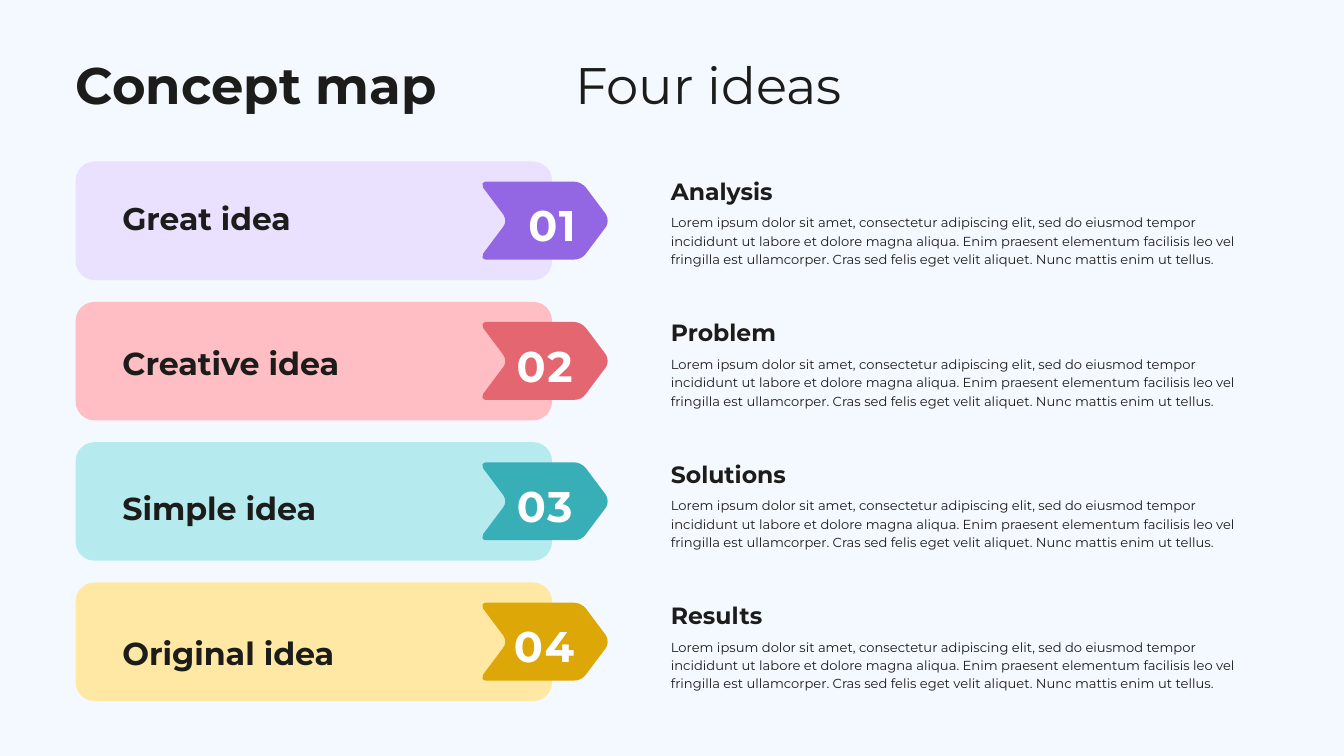
from pptx import Presentation, util as u
from pptx.dml.color import RGBColor
from pptx.enum import shapes, text
from pptx.oxml import ns
from lxml import etree

# Grid: 200 columns by 112.5 rows, each cell 0.1 inch square
COLS, ROWS = 200, 112.5
INK, WHITE, PAPER = "1C1C1A", "FFFFFF", "F4F8FF"
FONT = "Montserrat"
LOREM = ("Lorem ipsum dolor sit amet, consectetur adipiscing elit, sed do eiusmod "
         "tempor incididunt ut labore et dolore magna aliqua. Enim praesent elementum "
         "facilisis leo vel fringilla est ullamcorper. Cras sed felis eget velit "
         "aliquet. Nunc mattis enim ut tellus.")

# label, label size, card colour, tag colour, number centre from the tag's left
IDEAS = [
    ("Great idea", 33.6, "EAE0FF", "9366E4", 10.35),
    ("Creative idea", 34, "FFBEC4", "E46671", 9.25),
    ("Simple idea", 34, "B5EBEF", "38AEB6", 9.25),
    ("Original idea", 34, "FFE8A3", "DDA707", 9.15),
]
DETAILS = ["Analysis", "Problem", "Solutions", "Results"]

# Number tag outline in 0.01 inch, clockwise: one point is a line, three a curve
TAG_START = (5, 0)
TAG_SEGMENTS = [
    [(136, 0)], [(143, 0), (150, 4), (154, 9)],
    [(184, 49)], [(187, 55), (187, 62), (184, 67)],
    [(154, 107)], [(150, 113), (143, 116), (136, 116)],
    [(5, 116)], [(3, 116), (1, 115), (0, 113)], [(0, 111), (0, 109), (1, 107)],
    [(31, 67)], [(35, 62), (35, 55), (31, 49)],
    [(1, 9)], [(0, 7), (0, 5), (0, 3)], [(1, 2), (3, 0), (5, 0)],
]


def grid(n):
    return u.Inches(n / 10)


def rgb(value):
    return RGBColor.from_string(value)


def paint(sp, color):
    sp.shadow.inherit = False
    sp.fill.solid()
    sp.fill.fore_color.rgb = rgb(color)
    sp.line.fill.background()


def add_text(s, box, words, size, leading, color=INK, bold=False, align=None, spacing=0):
    sp = s.shapes.add_textbox(*map(grid, box))
    tf = sp.text_frame
    tf.word_wrap = True
    tf.auto_size = text.MSO_AUTO_SIZE.SHAPE_TO_FIT_TEXT
    tf.margin_left = tf.margin_right = tf.margin_top = tf.margin_bottom = 0
    tf.text = words
    p = tf.paragraphs[0]
    p.alignment = align
    p.line_spacing = u.Pt(leading)
    r = p.runs[0]
    r.font.name, r.font.size, r.font.bold = FONT, u.Pt(size), bold
    r.font.color.rgb = rgb(color)
    if spacing:
        r._r.get_or_add_rPr().set("spc", str(spacing))


def add_tag(s, x, y, color):
    builder = s.shapes.build_freeform(*TAG_START, scale=u.Inches(0.01))
    builder.add_line_segments([pt for seg in TAG_SEGMENTS for pt in seg], close=True)
    sp = builder.convert_to_shape(grid(x), grid(y))
    # Join each run of three points into one curve
    lines = iter(sp._element.findall(".//" + ns.qn("a:lnTo")))
    for seg in TAG_SEGMENTS:
        steps = [next(lines) for _ in seg]
        if len(steps) == 3:
            curve = etree.Element(ns.qn("a:cubicBezTo"))
            steps[0].addprevious(curve)
            for step in steps:
                curve.append(step[0])
                step.getparent().remove(step)
    paint(sp, color)


def add_header(s, box):
    x, y, w, h = box
    add_text(s, (x, y, 77.1, h), "Concept map", 55, 58.3, bold=True)
    add_text(s, (x + w / 2, y, 77.1, h), "Four ideas", 55, 58.3)


def add_ideas(s, box):
    x, y, w, h = box
    card_h = 17.65
    pitch = (h - card_h) / (len(IDEAS) - 1)
    for i, (label, size, card, tag, number_x) in enumerate(IDEAS):
        top = y + i * pitch
        # Card
        sp = s.shapes.add_shape(shapes.MSO_SHAPE.ROUNDED_RECTANGLE,
                                *map(grid, (x, top, w, card_h)))
        sp.adjustments[0] = 0.16
        paint(sp, card)
        # Numbered tag, over the card's right edge
        tag_x = x + w - 10.35
        add_tag(s, tag_x, top + 3, color=tag)
        add_text(s, (tag_x + number_x - 5, top + 4.3, 10, 8.5), f"{i + 1:02}", 45.9, 64.2,
                 WHITE, True, text.PP_ALIGN.CENTER, 190)
        # Labels step slightly further than the cards
        add_text(s, (x + 6.95, y + 4.67 + i * 21.54, 51.1, 6.3), label, size, size * 1.4,
                 bold=True)


def add_details(s, box):
    x, y, w, h = box
    pitch = h / len(DETAILS)
    for i, heading in enumerate(DETAILS):
        top = y + i * pitch
        add_text(s, (x, top + 5.95, w, 8), LOREM, 14, 19.6)
        add_text(s, (x, top, 62.5, 4.5), heading, 25.2, 35.2, bold=True)


def main():
    prs = Presentation()
    prs.slide_width, prs.slide_height = grid(COLS), grid(ROWS)
    s = prs.slides.add_slide(prs.slide_layouts[6])
    s.background.fill.solid()
    s.background.fill.fore_color.rgb = rgb(PAPER)
    add_header(s, (11.25, 9, 148.7, 8.4))
    add_ideas(s, (11.25, 24.03, 70.9, 80.3))
    add_details(s, (99.83, 25.65, 84.8, 84.2))
    prs.save("out.pptx")


if __name__ == "__main__":
    main()
